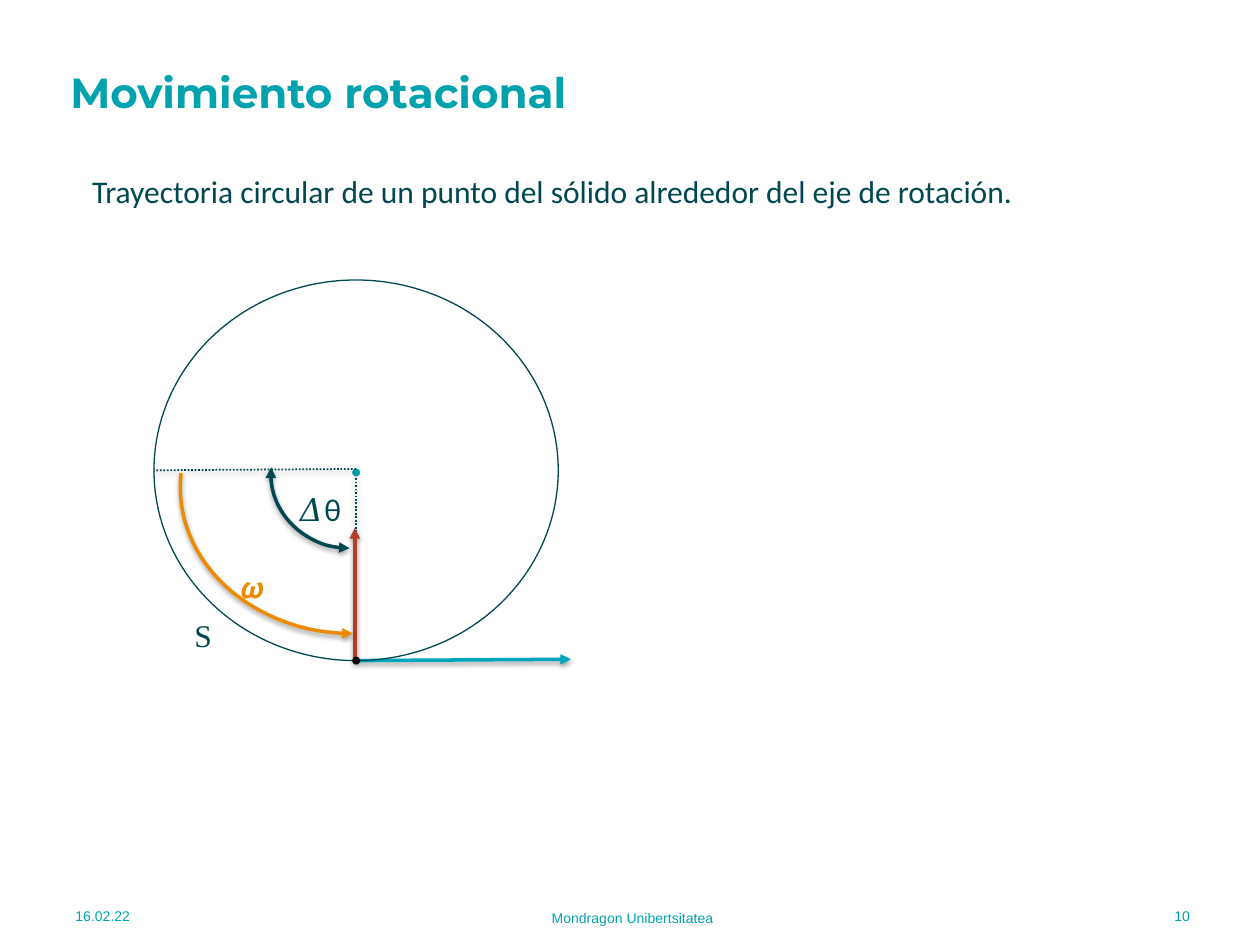
from lxml.etree import SubElement
from pptx import Presentation
from pptx.dml.color import RGBColor
from pptx.enum.dml import MSO_LINE
from pptx.enum.shapes import MSO_CONNECTOR, MSO_SHAPE
from pptx.enum.text import MSO_ANCHOR, MSO_AUTO_SIZE, PP_ALIGN
from pptx.oxml.ns import qn
from pptx.util import Pt

TEAL = RGBColor(0x00, 0xA3, 0xAD)
CYAN = RGBColor(0x00, 0xA7, 0xBC)
DARK = RGBColor(0x00, 0x48, 0x51)
RED = RGBColor(0xB3, 0x3D, 0x26)
ORANGE = RGBColor(0xED, 0x8B, 0x00)
BLACK = RGBColor(0x00, 0x00, 0x00)
SERIF = "Times New Roman"


def add_run(p, text, size, font, color, bold=False):
    """Append one formatted run to a paragraph."""
    r = p.add_run()
    r.text = text
    r.font.size = Pt(size)
    r.font.name = font
    r.font.bold = bold
    r.font.color.rgb = color


def add_text(shapes, box, runs, size, color, align=PP_ALIGN.LEFT, wrap=True):
    """Add a text box holding one paragraph of (text, font) runs."""
    tf = shapes.add_textbox(*map(Pt, box)).text_frame
    tf.word_wrap = wrap
    p = tf.paragraphs[0]
    p.alignment = align
    for text, font in runs:
        add_run(p, text, size, font, color)
    return tf


def add_shadow(effects):
    """Put a soft downward shadow into an effect list."""
    shadow = SubElement(effects, qn("a:outerShdw"), blurRad=str(Pt(3.1)),
                        dist=str(Pt(1.6)), dir="5400000", rotWithShape="0")
    color = SubElement(shadow, qn("a:srgbClr"), val="000000")
    SubElement(color, qn("a:alpha"), val="38000")


def style_line(line, color, width, ends=()):
    """Set a line's colour and width and add its arrowheads."""
    line.color.rgb = color
    line.width = Pt(width)
    for end in ends:
        SubElement(line._get_or_add_ln(), qn(f"a:{end}"), type="triangle")


def add_line(shapes, start, end, color, width, ends=(), dotted=False):
    """Add a shadowed straight connector between two points."""
    line = shapes.add_connector(MSO_CONNECTOR.STRAIGHT, *map(Pt, start + end))
    if dotted:
        line.line.dash_style = MSO_LINE.ROUND_DOT
    style_line(line.line, color, width, ends)
    add_shadow(SubElement(line._element.spPr, qn("a:effectLst")))


def add_arc(shapes, box, color, ends):
    """Add a shadowed quarter arc in the lower left of its box."""
    sp = shapes.add_shape(MSO_SHAPE.ARC, *map(Pt, box))
    sp.rotation = 180
    sp.adjustments[0] = 162
    sp.adjustments[1] = 2.833
    sp.fill.background()
    style_line(sp.line, color, 2, ends)
    sp.shadow.inherit = False
    add_shadow(sp._element.spPr.find(qn("a:effectLst")))


def add_dot(shapes, center, color, size=4.5):
    """Add a small filled circle around a point."""
    x, y = center
    sp = shapes.add_shape(MSO_SHAPE.OVAL, Pt(x - size / 2), Pt(y - size / 2), Pt(size), Pt(size))
    sp.shadow.inherit = False
    sp.fill.solid()
    sp.fill.fore_color.rgb = color
    sp.line.fill.background()


def build_title(slide, box, text):
    """Place the slide title."""
    title = slide.shapes.title
    title.left, title.top, title.width, title.height = map(Pt, box)
    tf = title.text_frame
    tf.auto_size = MSO_AUTO_SIZE.NONE
    tf.vertical_anchor = MSO_ANCHOR.MIDDLE
    p = tf.paragraphs[0]
    p.alignment = PP_ALIGN.LEFT
    p.line_spacing = 0.9
    add_run(p, text, 24, "Montserrat", TEAL, bold=True)


def build_footer(slide, box):
    """Place date, institution and page number along the footer."""
    left, top, width, height = box
    side = 92.5
    parts = [
        (left, top, side, "16.02.22", PP_ALIGN.LEFT),
        (left + 137.5, top + 0.75, 376, "Mondragon Unibertsitatea", PP_ALIGN.CENTER),
        (left + width - side, top, side, "10", PP_ALIGN.RIGHT),
    ]
    for x, y, w, text, align in parts:
        tf = add_text(slide.shapes, (x, y, w, height), [(text, "Arial")], 8, TEAL, align)
        tf.vertical_anchor = MSO_ANCHOR.MIDDLE
        tf.paragraphs[0].space_after = Pt(6)


def build_rotation(slide, box):
    """Draw the circular path with its radii, arcs, arrows and labels."""
    left, top, width, height = box
    shapes = slide.shapes.add_group_shape().shapes
    cx, cy = left + width / 2, top + height / 2
    bottom = top + height

    add_line(shapes, (cx, bottom), (cx + 122.75, bottom - 0.75), CYAN, 2, ["tailEnd"])
    circle = shapes.add_shape(MSO_SHAPE.OVAL, *map(Pt, box))
    circle.shadow.inherit = False
    circle.fill.background()
    style_line(circle.line, DARK, 0.75)
    add_line(shapes, (cx, cy + 2.5), (cx, bottom), DARK, 1, dotted=True)
    add_line(shapes, (cx - 0.75, bottom + 0.5), (cx - 0.75, cy + 33), RED, 2, ["tailEnd"])
    add_dot(shapes, (cx, cy + 1.25), TEAL)
    add_line(shapes, (cx, cy - 0.75), (left, cy), DARK, 1, dotted=True)
    add_text(shapes, (left + 76.25, top + 116.5, 53.25, 29),
             [("𝛥", SERIF), ("θ", "Calibri")], 18, DARK)
    add_text(shapes, (left + 42.25, top + 160.5, 29.5, 29), [("𝟂", SERIF)], 18, ORANGE, wrap=False)
    add_arc(shapes, (left + 66.75, top + 68.25, 90, 85), DARK, ["headEnd", "tailEnd"])
    add_arc(shapes, (left + 15, top + 35, 197.25, 167), ORANGE, ["headEnd"])
    add_dot(shapes, (cx, bottom), BLACK)
    add_text(shapes, (left + 2, top + 188.5, 53.25, 29), [("𝛥S", SERIF)], 18, DARK)


def main():
    """Build the slide and save it."""
    prs = Presentation()
    prs.slide_width, prs.slide_height = Pt(720), Pt(540)
    slide = prs.slides.add_slide(prs.slide_layouts[5])
    build_footer(slide, (36, 509, 651, 29))
    build_title(slide, (33, 37.5, 603.5, 34), "Movimiento rotacional")
    sentence = "Trayectoria circular de un punto del sólido alrededor del eje de rotación."
    add_text(slide.shapes, (45.5, 95, 641.5, 29), [(sentence, "Calibri")], 18, DARK, PP_ALIGN.JUSTIFY)
    build_rotation(slide, (88, 160, 231, 217.5))
    prs.save("out.pptx")


if __name__ == "__main__":
    main()
